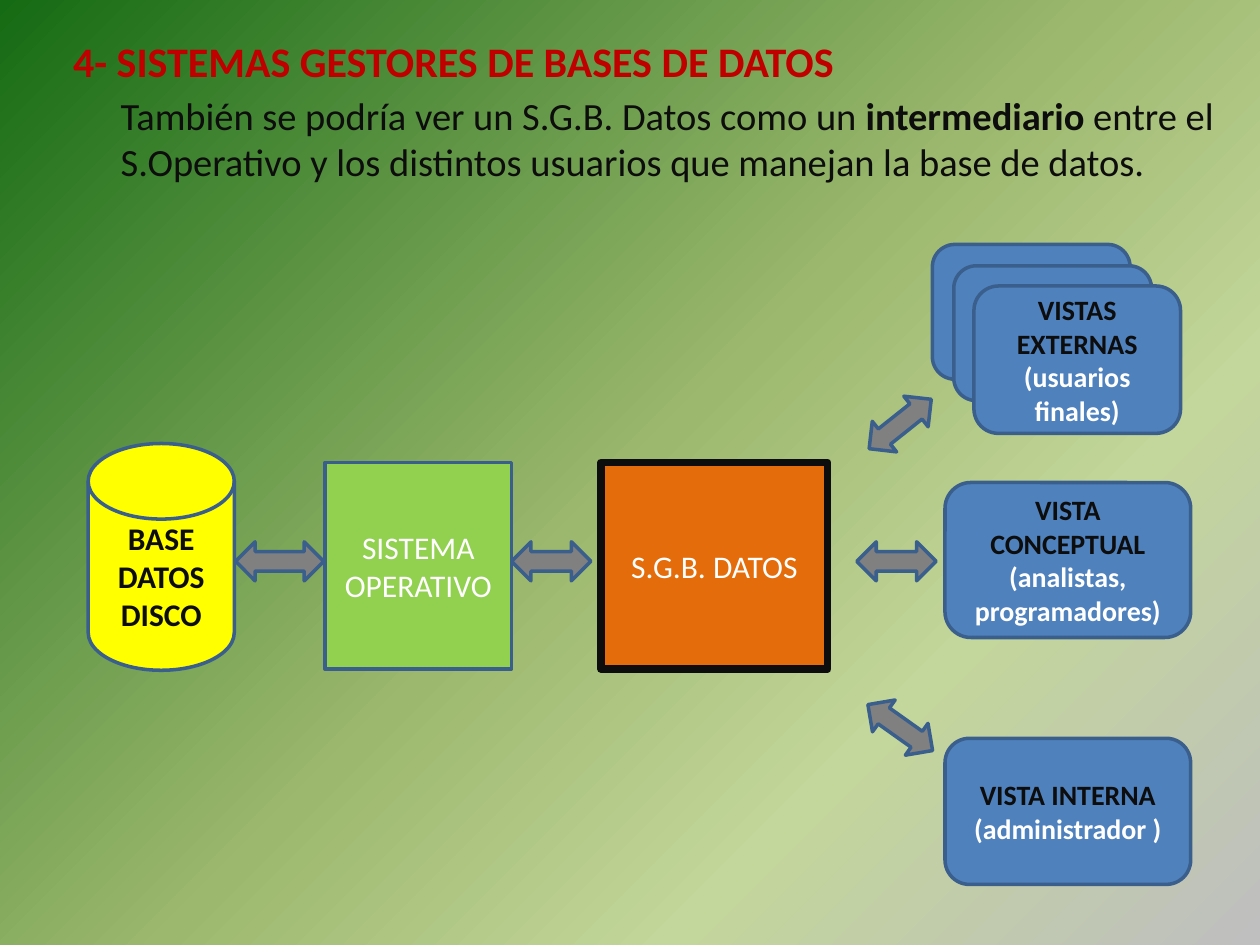
import pptx
import pptx.util
from pptx.dml.color import RGBColor
from pptx.enum.shapes import MSO_SHAPE
from pptx.enum.text import MSO_ANCHOR, MSO_AUTO_SIZE, PP_ALIGN
from pptx.oxml import parse_xml
from pptx.oxml.ns import nsdecls, qn
from pptx.util import Inches, Pt

FONT = "Calibri"
DARK, WHITE, RED = "0D0D0D", "FFFFFF", "C00000"
BLUE, EDGE, GREY = "4F81BD", "3A5F8C", "808080"
BACKGROUND = [(0, "BFBFBF"), (27, "C3D69B"), (50, "9CB86E"), (100, "156B13")]

TITLE = "4- SISTEMAS GESTORES DE BASES DE DATOS"
INTRO = [
    ("También se podría ver un S.G.B. Datos como un ", False),
    ("intermediario", True),
    (" entre el S.Operativo y los distintos usuarios que manejan la base de datos.", False),
]

# kind, box, fill, line colour, line width, text, text colour, bold
STAGES = [
    (MSO_SHAPE.FLOWCHART_MAGNETIC_DISK, (0.7, 3.52, 1.16, 1.8), "FFFF00", EDGE, 2,
     "BASE DATOS DISCO", DARK, True),
    (MSO_SHAPE.RECTANGLE, (2.58, 3.67, 1.48, 1.64), "92D050", EDGE, 2,
     "SISTEMA OPERATIVO", WHITE, False),
    (MSO_SHAPE.RECTANGLE, (4.77, 3.67, 1.8, 1.64), "E46C0A", DARK, 4.25,
     "S.G.B. DATOS", WHITE, False),
]

# box, view name, who uses it
VIEWS = [
    ((7.4, 1.94, 1.57, 1.07), "", ""),
    ((7.57, 2.11, 1.57, 1.07), "", ""),
    ((7.73, 2.27, 1.64, 1.17), "VISTAS EXTERNAS ", "(usuarios finales)"),
    ((7.5, 3.83, 1.95, 1.23), "VISTA CONCEPTUAL ", "(analistas, programadores)"),
    ((7.5, 5.86, 1.95, 1.16), "VISTA INTERNA ", "(administrador )"),
]

# left, top, width, rotation
ARROWS = [
    (1.87, 4.3, 0.7, 0),
    (4.06, 4.3, 0.63, 0),
    (6.83, 5.62, 0.63, 35.4),
    (6.8, 4.3, 0.63, 0),
    (6.83, 3.21, 0.63, 321.5),
]
ARROW_HEIGHT = 0.31


def rgb(value):
    return RGBColor.from_string(value)


def set_background(s):
    """Radial gradient that starts in the bottom right corner."""
    s.background.fill.solid()
    stops = "".join(
        f'<a:gs pos="{pos * 1000}"><a:srgbClr val="{color}"/></a:gs>'
        for pos, color in BACKGROUND)
    gradient = parse_xml(
        f'<a:gradFill {nsdecls("a")} rotWithShape="1"><a:gsLst>{stops}</a:gsLst>'
        '<a:path path="circle"><a:fillToRect l="100000" t="100000"/></a:path>'
        '</a:gradFill>')
    solid = s._element.find(".//" + qn("p:bgPr")).find(qn("a:solidFill"))
    solid.getparent().replace(solid, gradient)


def write(sp, runs, size, align=PP_ALIGN.CENTER, anchor=MSO_ANCHOR.MIDDLE):
    """Fill a shape with one paragraph of (text, colour, bold) runs."""
    tf = sp.text_frame
    tf.word_wrap = True
    tf.auto_size = MSO_AUTO_SIZE.NONE
    tf.vertical_anchor = anchor
    p = tf.paragraphs[0]
    p.alignment = align
    p.font.name, p.font.size = FONT, Pt(size)
    for text, color, bold in runs:
        r = p.add_run()
        r.text = text
        r.font.color.rgb = rgb(color)
        r.font.bold = bold


def add_block(s, kind, box, fill, line=EDGE, width=2):
    sp = s.shapes.add_shape(kind, *map(Inches, box))
    sp.shadow.inherit = False
    sp.fill.solid()
    sp.fill.fore_color.rgb = rgb(fill)
    sp.line.color.rgb = rgb(line)
    sp.line.width = Pt(width)
    return sp


def main():
    prs = pptx.Presentation()
    prs.slide_width, prs.slide_height = Inches(10), Inches(7.5)
    s = prs.slides.add_slide(prs.slide_layouts[5])
    set_background(s)

    title = s.shapes.title
    title.left, title.top, title.width, title.height = map(Inches, (0.48, 0.23, 9.52, 0.5))
    write(title, [(TITLE, RED, True)], 24, PP_ALIGN.LEFT, MSO_ANCHOR.TOP)

    intro = s.shapes.add_textbox(*map(Inches, (0.86, 0.68, 9.14, 0.85)))
    write(intro, [(text, DARK, bold) for text, bold in INTRO], 22,
          PP_ALIGN.LEFT, MSO_ANCHOR.TOP)

    for kind, box, fill, line, width, text, color, bold in STAGES:
        sp = add_block(s, kind, box, fill, line, width)
        write(sp, [(text, color, bold)], 18)

    for box, name, users in VIEWS:
        sp = add_block(s, MSO_SHAPE.ROUNDED_RECTANGLE, box, BLUE)
        if name:
            write(sp, [(name, DARK, True), (users, WHITE, True)], 16)

    for left, top, width, rotation in ARROWS:
        sp = add_block(s, MSO_SHAPE.LEFT_RIGHT_ARROW, (left, top, width, ARROW_HEIGHT), GREY)
        sp.rotation = rotation

    prs.save("out.pptx")


if __name__ == "__main__":
    main()
